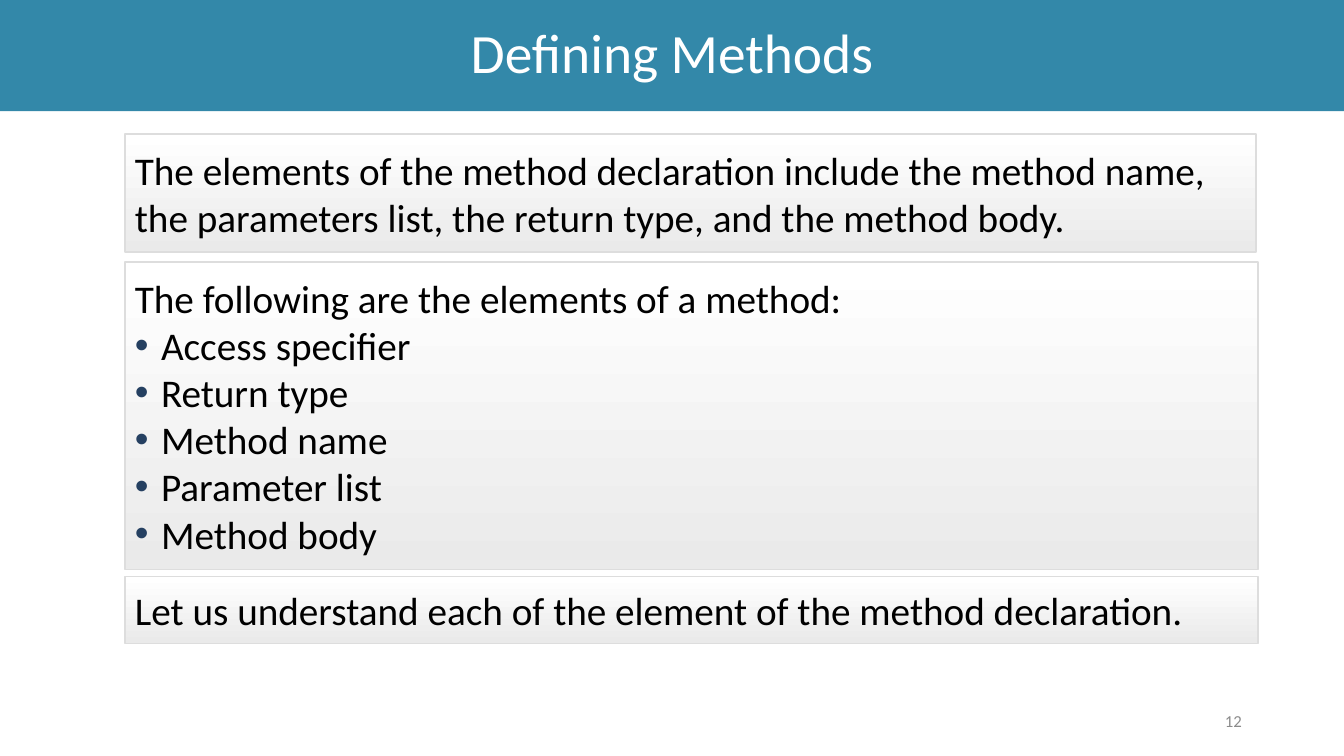
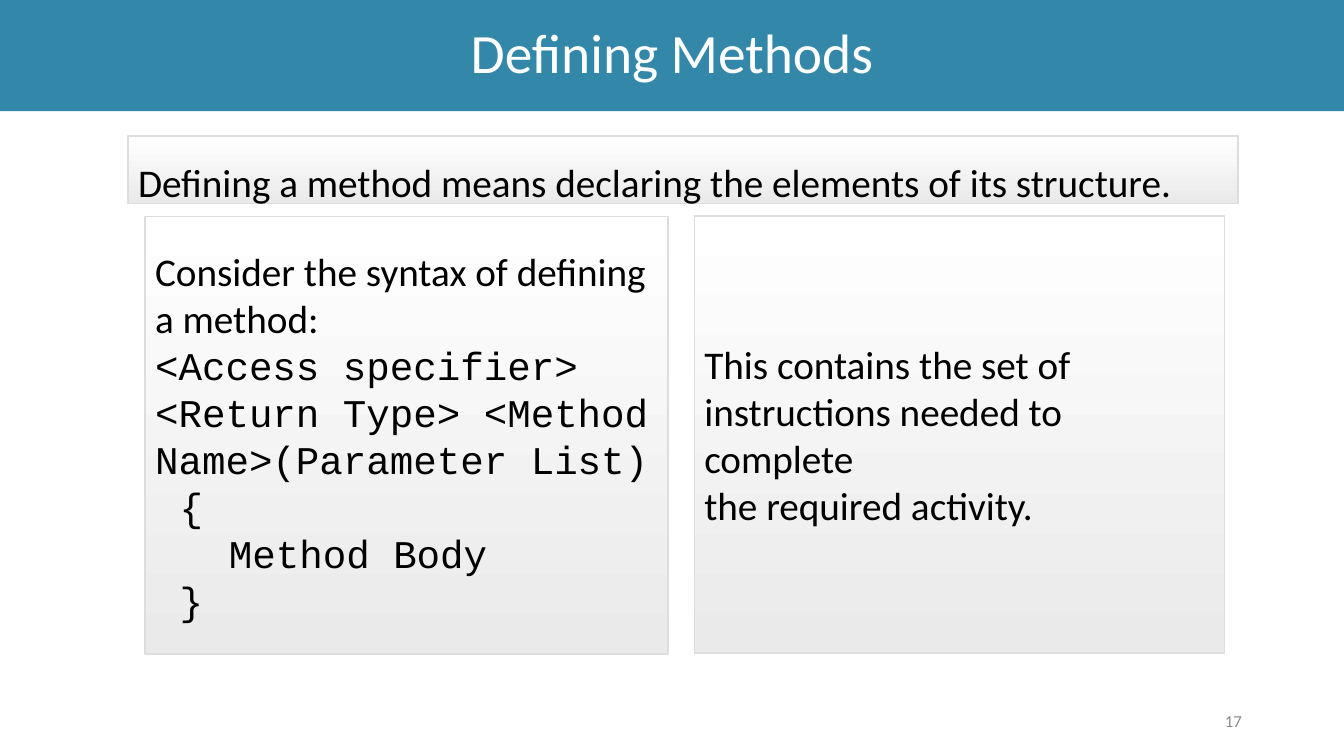
from collections import namedtuple

from lxml import etree
from pptx import Presentation
from pptx import util as u
from pptx.dml.color import RGBColor
from pptx.enum import shapes, text
from pptx.oxml import ns

COLOURS = {
    "band": "3388A9",
    "title": "FFFFFF",
    "number": "8C8C8C",
    "panel_top": "FFFFFF",
    "panel_bottom": "EAEAEA",
    "panel_line": "DDDDDD",
    "body": "000000",
    "bullet": "254061",
}
BODY_FONT = "Calibri"
CODE_FONT = "Courier New"
SLIDE_WIDTH, SLIDE_HEIGHT = 33.87, 19.05
BULLET_INDENT = 0.66

Box = namedtuple("Box", "left top width height")
Line = namedtuple("Line", "words font indent bullet spacing",
                  defaults=(BODY_FONT, 0, False, None))

BAND = Box(0, 0, SLIDE_WIDTH, 2.8)
NUMBER = Box(23.93, 17.65, 7.62, 1.02)


def colour(name):
    return RGBColor.from_string(COLOURS[name])


def lengths(box):
    return [u.Cm(value) for value in box]


def style_paragraph(para, words, size, shade, font=BODY_FONT,
                    align=text.PP_ALIGN.LEFT, spacing=None):
    para.text = words
    para.alignment = align
    para.line_spacing = spacing
    para.font.name = font
    para.font.size = u.Pt(size)
    para.font.color.rgb = colour(shade)


def set_indent(para, line):
    properties = para._p.get_or_add_pPr()
    indent = BULLET_INDENT if line.bullet else line.indent
    properties.set("marL", str(u.Cm(indent)))
    if line.bullet:
        properties.set("indent", str(-u.Cm(indent)))
        tint = etree.SubElement(properties, ns.qn("a:buClr"))
        etree.SubElement(tint, ns.qn("a:srgbClr"), val=COLOURS["bullet"])
        etree.SubElement(properties, ns.qn("a:buFont"), typeface="Arial")
        etree.SubElement(properties, ns.qn("a:buChar"), char="•")


def add_rectangle(page, box):
    shape = page.shapes.add_shape(shapes.MSO_SHAPE.RECTANGLE, *lengths(box))
    shape.shadow.inherit = False
    shape.text_frame.word_wrap = True
    shape.text_frame.vertical_anchor = text.MSO_ANCHOR.MIDDLE
    return shape


def add_title_band(page, box, title):
    band = add_rectangle(page, box)
    band.fill.solid()
    band.fill.fore_color.rgb = colour("band")
    band.line.fill.background()
    style_paragraph(band.text_frame.paragraphs[0], title, 39.6, "title",
                    align=text.PP_ALIGN.CENTER, spacing=0.9)


def add_page_number(page, box, number):
    frame = page.shapes.add_textbox(*lengths(box)).text_frame
    frame.word_wrap = True
    frame.vertical_anchor = text.MSO_ANCHOR.MIDDLE
    style_paragraph(frame.paragraphs[0], str(number), 12, "number",
                    align=text.PP_ALIGN.RIGHT)


def add_panel(page, box, lines):
    panel = add_rectangle(page, box)
    panel.fill.gradient()
    panel.fill.gradient_angle = 270
    for stop, name in zip(panel.fill.gradient_stops, ("panel_top", "panel_bottom")):
        stop.color.rgb = colour(name)
    panel.line.color.rgb = colour("panel_line")
    panel.line.width = u.Pt(1)
    frame = panel.text_frame
    for index, line in enumerate(lines):
        para = frame.add_paragraph() if index else frame.paragraphs[0]
        set_indent(para, line)
        style_paragraph(para, line.words, 28, "body", line.font,
                        spacing=line.spacing)


def add_methods_page(deck, number, panels):
    page = deck.slides.add_slide(deck.slide_layouts[6])
    add_title_band(page, BAND, "Defining Methods")
    add_page_number(page, NUMBER, number)
    for box, lines in panels:
        add_panel(page, box, lines)


def add_elements_page(deck):
    elements = ("Access specifier", "Return type", "Method name",
                "Parameter list", "Method body")
    add_methods_page(deck, 12, [
        (Box(3.15, 3.38, 28.5, 2.97), [
            Line("The elements of the method declaration include the method name, "
                 "the parameters list, the return type, and the method body.")]),
        (Box(3.15, 6.6, 28.55, 7.75), [
            Line("The following are the elements of a method:"),
            *(Line(element, bullet=True) for element in elements)]),
        (Box(3.15, 14.53, 28.55, 1.68), [
            Line("Let us understand each of the element of the method declaration.")]),
    ])


def add_syntax_page(deck):
    code = (("<Access specifier> <Return Type> <Method Name>(Parameter List)", 0),
            ("{", 0.62), ("Method Body", 1.86), ("}", 0.62))
    add_methods_page(deck, 17, [
        (Box(3.23, 3.43, 27.97, 1.7), [
            Line("Defining a method means declaring the elements of its structure.",
                 spacing=1.5)]),
        (Box(3.66, 5.46, 13.18, 11.02), [
            Line("Consider the syntax of defining a method:"),
            *(Line(words, CODE_FONT, indent) for words, indent in code)]),
        (Box(17.5, 5.44, 13.36, 11.02), [
            Line("This contains the set of instructions needed to complete"),
            Line("the required activity.")]),
    ])


def main():
    deck = Presentation()
    deck.slide_width = u.Cm(SLIDE_WIDTH)
    deck.slide_height = u.Cm(SLIDE_HEIGHT)
    add_elements_page(deck)
    add_syntax_page(deck)
    deck.save("out.pptx")


if __name__ == "__main__":
    main()
